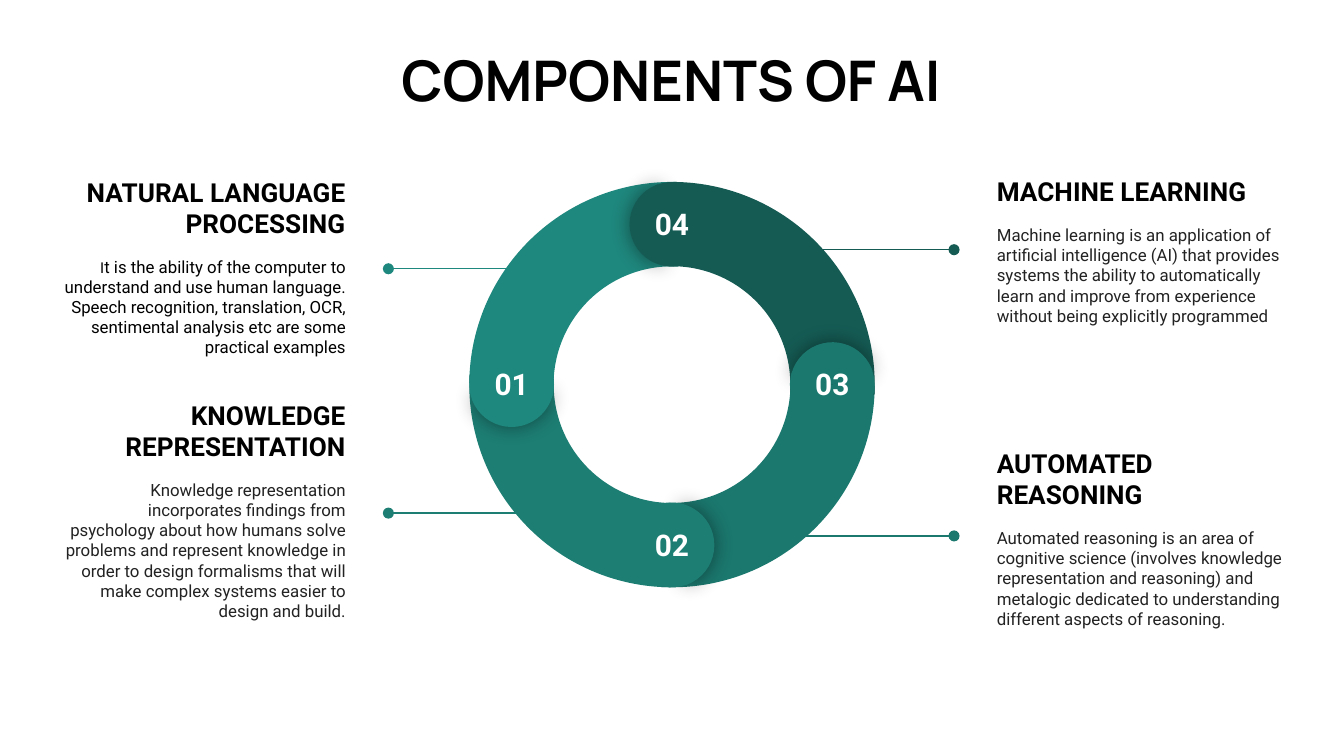
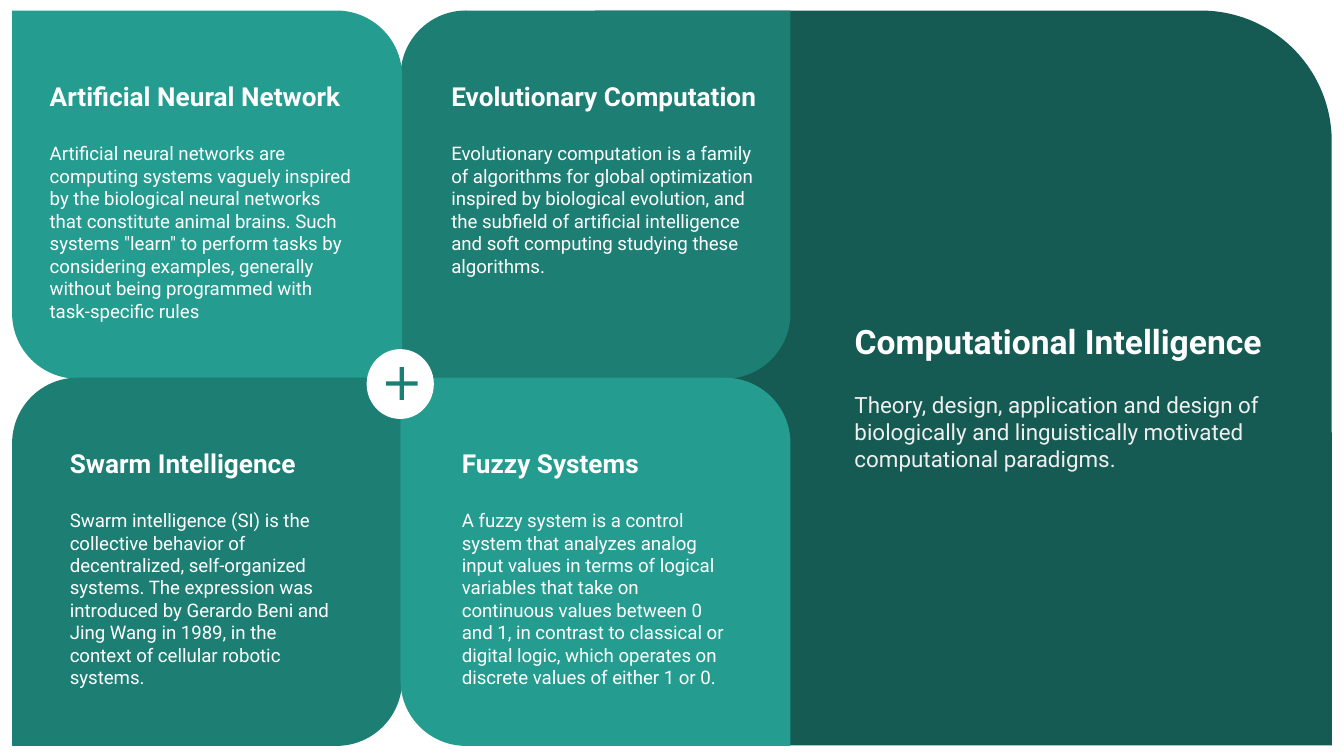
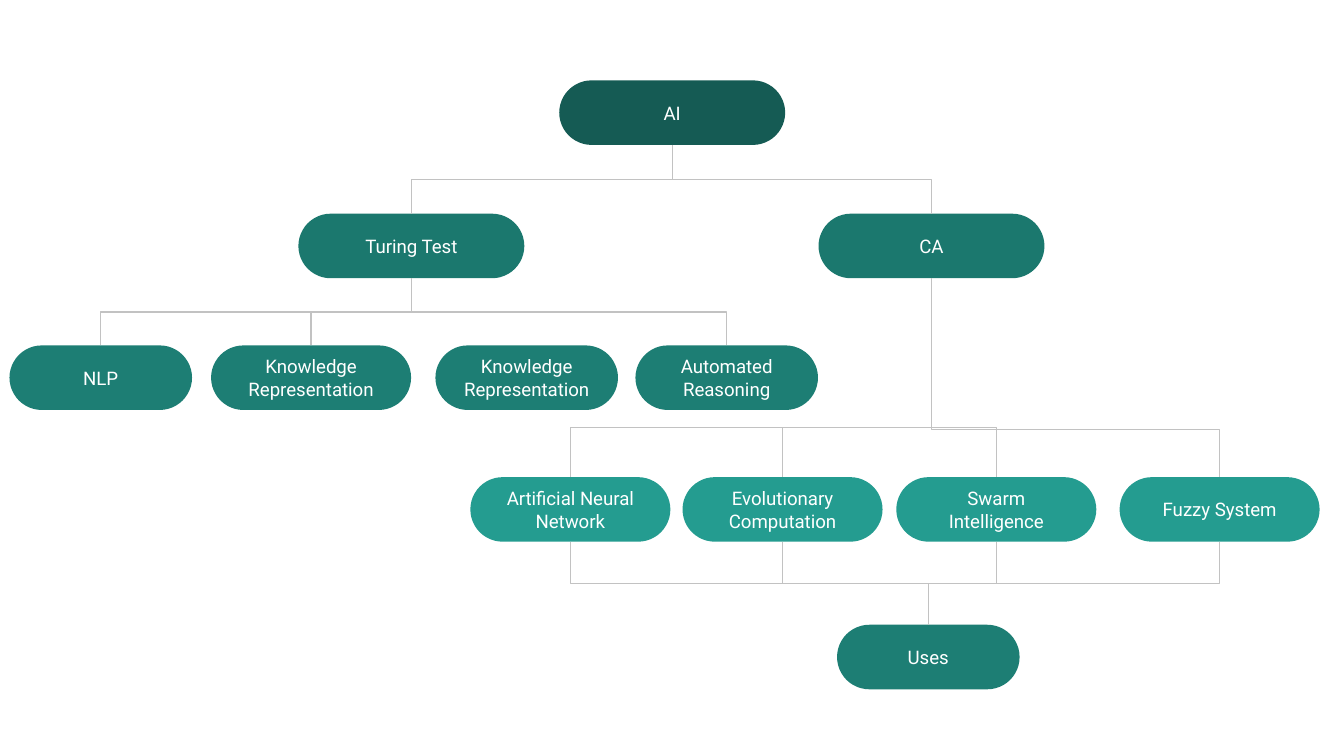
"""Build three slides on the components of AI: a ring, a card grid and a tree."""
import math

from lxml import etree
from pptx import Presentation
from pptx import util as u
from pptx.dml.color import RGBColor
from pptx.enum import shapes, text
from pptx.oxml.ns import qn

BLACK = RGBColor(0x00, 0x00, 0x00)
INK = RGBColor(0x22, 0x22, 0x22)
WHITE = RGBColor(0xFF, 0xFF, 0xFF)
PALE = RGBColor(0xEF, 0xEF, 0xEF)
GREY = RGBColor(0xC2, 0xC2, 0xC2)
DARK = RGBColor(0x15, 0x5B, 0x54)
DEEP = RGBColor(0x1B, 0x78, 0x6E)
TEAL = RGBColor(0x1D, 0x7E, 0x74)
MID = RGBColor(0x1F, 0x88, 0x7E)
LIGHT = RGBColor(0x24, 0x9C, 0x90)
SHAPE = shapes.MSO_SHAPE
LEFT, CENTER, RIGHT = text.PP_ALIGN.LEFT, text.PP_ALIGN.CENTER, text.PP_ALIGN.RIGHT


def draw(s, kind, box, fill, adj=(), rot=0):
    sp = s.shapes.add_shape(kind, *map(u.Cm, box))
    for i, value in enumerate(adj):
        sp.adjustments[i] = value
    sp.rotation = rot
    sp.shadow.inherit = False
    sp.fill.solid()
    sp.fill.fore_color.rgb = fill
    sp.line.fill.background()
    return sp


def write(tf, runs, color, bold=False, align=LEFT, before=0, font="Roboto"):
    tf.word_wrap = True
    tf.margin_left = tf.margin_right = tf.margin_top = tf.margin_bottom = u.Cm(0.25)
    p = tf.add_paragraph() if tf.text else tf.paragraphs[0]
    p.alignment = align
    if before:
        p.space_before = u.Pt(before)
    for words, size in runs:
        r = p.add_run()
        r.text = words
        r.font.name, r.font.size, r.font.bold = font, u.Pt(size), bold
        r.font.color.rgb = color
    return p


prs = Presentation()
prs.slide_width, prs.slide_height = u.Cm(25.4), u.Cm(14.29)
title_only, blank = prs.slide_layouts[5], prs.slide_layouts[6]

s = prs.slides.add_slide(title_only)
title = s.shapes.title
title.left, title.top, title.width, title.height = map(u.Cm, (7.06, 0.61, 11.25, 1.6))
tf = title.text_frame
tf.auto_size, tf.vertical_anchor = text.MSO_AUTO_SIZE.NONE, text.MSO_ANCHOR.TOP
write(tf, [("COMPONENTS OF AI", 30)], BLACK, True, CENTER, font="Manrope")

RING_X, RING_Y, RING_D, CAP_D = 12.7, 7.27, 7.66, 1.6
ring = [(180 - 90 * i, fill) for i, fill in enumerate((MID, TEAL, DEEP, DARK))]
ring_box = (RING_X - RING_D / 2, RING_Y - RING_D / 2, RING_D, RING_D)
for angle, fill in ring:
    draw(s, SHAPE.BLOCK_ARC, ring_box, fill, (126.23, 181.77, 0.208), (angle + 150) % 360)
for number, (angle, fill) in enumerate(ring, 1):
    reach = (RING_D - CAP_D) / 2
    x = RING_X + reach * math.cos(math.radians(angle))
    y = RING_Y + reach * math.sin(math.radians(angle))
    cap = (x - CAP_D / 2, y - CAP_D / 2, CAP_D, CAP_D)
    sp = draw(s, SHAPE.PIE, cap, fill, (61.9, 149.96), (angle + 90.7) % 360)
    effects = sp.element.spPr.find(qn("a:effectLst"))
    shadow = etree.SubElement(effects, qn("a:outerShdw"), blurRad=str(u.Pt(11.2)), dist="0")
    black = etree.SubElement(shadow, qn("a:srgbClr"), val="000000")
    etree.SubElement(black, qn("a:alpha"), val="43000")
    draw(s, SHAPE.PIE, cap, fill, (40.28, 171.84), (angle - 90) % 360)
    sp = s.shapes.add_textbox(*map(u.Cm, (x - 0.7, y - 0.6, 1.4, 0.74)))
    write(sp.text_frame, [(f"{number:02}", 16)], WHITE, True, CENTER)

components = [
    (0.89, 3.25, RIGHT, "NATURAL LANGUAGE PROCESSING", BLACK,
     [("I", 8), ("t is the ability of the computer to understand and use human language. "
                 "Speech recognition, translation, OCR, sentimental analysis etc are some "
                 "practical examples", 9)], MID, 10.24, 7.34, 5.08),
    (0.89, 7.85, RIGHT, "KNOWLEDGE REPRESENTATION", INK,
     [("Knowledge representation incorporates findings from psychology about how humans "
       "solve problems and represent knowledge in order to design formalisms that will "
       "make complex systems easier to design and build.", 9)], TEAL, 10.97, 7.34, 9.7),
    (18.59, 2.95, LEFT, "MACHINE LEARNING", INK,
     [("Machine learning is an application of artificial intelligence (AI) that provides "
       "systems the ability to automatically learn and improve from experience without "
       "being explicitly programmed", 9)], DARK, 14.48, 18.03, 4.72),
    (18.59, 8.38, LEFT, "AUTOMATED REASONING", INK,
     [("Automated reasoning is an area of cognitive science (involves knowledge "
       "representation and reasoning) and metalogic dedicated to understanding "
       "different aspects of reasoning.", 9)], DEEP, 14.48, 18.03, 10.13),
]
for x, y, align, heading, color, body, fill, start, end, level in components:
    tf = s.shapes.add_textbox(*map(u.Cm, (x, y, 5.89, 3.58))).text_frame
    tf.vertical_anchor = text.MSO_ANCHOR.MIDDLE
    write(tf, [(heading, 14)], BLACK, True, align)
    write(tf, body, color, align=align, before=9.4).space_after = u.Pt(16)
    c = s.shapes.add_connector(shapes.MSO_CONNECTOR.STRAIGHT,
                               *map(u.Cm, (start, level, end, level)))
    c.line.color.rgb = fill
    etree.SubElement(c.line._get_or_add_ln(), qn("a:tailEnd"), type="oval")

s = prs.slides.add_slide(title_only)
draw(s, SHAPE.ROUND_2_DIAG_RECTANGLE, (11.25, 0.2, 13.92, 13.89), DARK, (0, 0.178))
title = s.shapes.title
s.shapes.element.append(title.element)
title.left, title.top, title.width, title.height = map(u.Cm, (15.9, 5.82, 8.46, 1.3))
tf = title.text_frame
tf.auto_size, tf.vertical_anchor = text.MSO_AUTO_SIZE.NONE, text.MSO_ANCHOR.TOP
write(tf, [("Computational Intelligence", 18)], WHITE, True)
sp = s.shapes.add_textbox(*map(u.Cm, (15.9, 7.14, 8.46, 2)))
write(sp.text_frame, [("Theory, design, application and design of biologically and "
                       "linguistically motivated computational paradigms.", 12)], PALE)

cards = [
    (1, 0, (8.28, 1.27, 6.27, 5.05), "Evolutionary Computation",
     "Evolutionary computation is a family of algorithms for global optimization inspired "
     "by biological evolution, and the subfield of artificial intelligence and soft "
     "computing studying these algorithms."),
    (0, 0, (0.69, 1.27, 6.27, 5.05), "Artificial Neural Network",
     "Artificial neural networks are computing systems vaguely inspired by the biological "
     "neural networks that constitute animal brains. Such systems \"learn\" to perform "
     "tasks by considering examples, generally without being programmed with "
     "task-specific rules"),
    (0, 1, (1.07, 8.2, 5.49, 5.23), "Swarm Intelligence",
     "Swarm intelligence (SI) is the collective behavior of decentralized, self-organized "
     "systems. The expression was introduced by Gerardo Beni and Jing Wang in 1989, in "
     "the context of cellular robotic systems."),
    (1, 1, (8.48, 8.2, 5.49, 5.05), "Fuzzy Systems",
     "A fuzzy system is a control system that analyzes analog input values in terms of "
     "logical variables that take on continuous values between 0 and 1, in contrast to "
     "classical or digital logic, which operates on discrete values of either 1 or 0."),
]
for col, row, box, heading, body in cards:
    fill, adj = (LIGHT, (0, 0.178)) if col == row else (TEAL, (0.178, 0))
    card = (0.23 + 7.34 * col, 0.2 + 6.94 * row, 7.37, 6.96)
    draw(s, SHAPE.ROUND_2_DIAG_RECTANGLE, card, fill, adj)
    tf = s.shapes.add_textbox(*map(u.Cm, box)).text_frame
    write(tf, [(heading, 14)], WHITE, True)
    write(tf, [(body, 10)], WHITE, before=16.4)
draw(s, SHAPE.OVAL, (6.93, 6.6, 1.27, 1.32), WHITE)
draw(s, SHAPE.MATH_PLUS, (7.19, 6.83, 0.81, 0.84), TEAL, (0.099,))

s = prs.slides.add_slide(blank)
NODE_H = 1.22
levels = [
    (1.52, DARK, [("AI", 10.57, 4.27)]),
    (4.04, DEEP, [("Turing Test", 5.64, 4.27), ("CA", 15.47, 4.27)]),
    (6.53, TEAL, [("NLP", 0.18, 3.45), ("Knowledge Representation", 3.99, 3.78),
                  ("Knowledge Representation", 8.23, 3.45),
                  ("Automated Reasoning", 12.01, 3.45)]),
    (9.02, LIGHT, [("Artificial Neural Network", 8.89, 3.78),
                   ("Evolutionary Computation", 12.9, 3.78),
                   ("Swarm Intelligence", 16.94, 3.78), ("Fuzzy System", 21.16, 3.78)]),
    (11.81, TEAL, [("Uses", 15.82, 3.45)]),
]
tree = []
for y, fill, nodes in levels:
    for label, x, w in nodes:
        sp = draw(s, SHAPE.ROUNDED_RECTANGLE, (x, y, w, NODE_H), fill, (0.5,))
        sp.text_frame.vertical_anchor = text.MSO_ANCHOR.MIDDLE
        write(sp.text_frame, [(label, 10)], WHITE, align=CENTER)
    tree.append([(x + w / 2, y) for label, x, w in nodes])
(root,), (turing, ca), skills, methods, (uses,) = tree

branches = [([root], [turing, ca], 0.5),
            ([turing], [skills[0], skills[1], skills[3]], 0.5),
            ([ca], methods[:3], 0.75), ([ca], methods[3:], 0.76),
            (methods, [uses], 0.5)]
for parents, children, bend in branches:
    for (x1, top), (x2, y2) in [(a, b) for a in parents for b in children]:
        y1 = top + NODE_H
        x, y, dx, dy = (x1 + x2) / 2, (y1 + y2) / 2, (x2 - x1) / 2, (y2 - y1) / 2
        c = s.shapes.add_connector(shapes.MSO_CONNECTOR.ELBOW,
                                   *map(u.Cm, (x - dy, y + dx, x + dy, y - dx)))
        c.line.color.rgb = GREY
        c.element.spPr.find(qn("a:xfrm")).set("rot", "5400000")
        guides = c.element.spPr.find(qn("a:prstGeom")).find(qn("a:avLst"))
        etree.SubElement(guides, qn("a:gd"), name="adj1", fmla=f"val {round(bend * 100000)}")

for s in prs.slides:
    for c in s.shapes:
        if c.shape_type == shapes.MSO_SHAPE_TYPE.LINE:
            c.line.width = u.Pt(0.75)
            etree.SubElement(c.element.spPr, qn("a:effectLst"))

prs.save("out.pptx")
